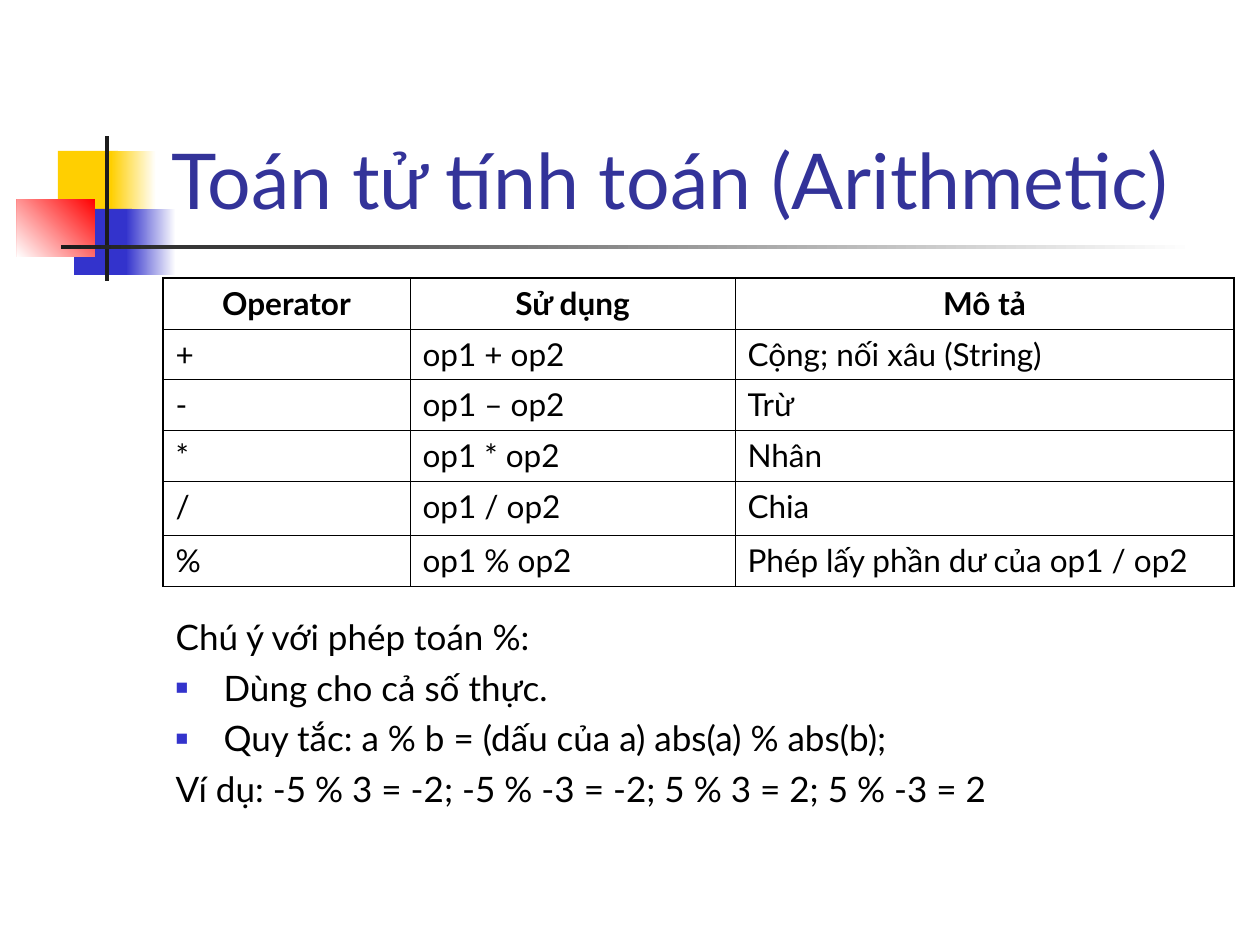
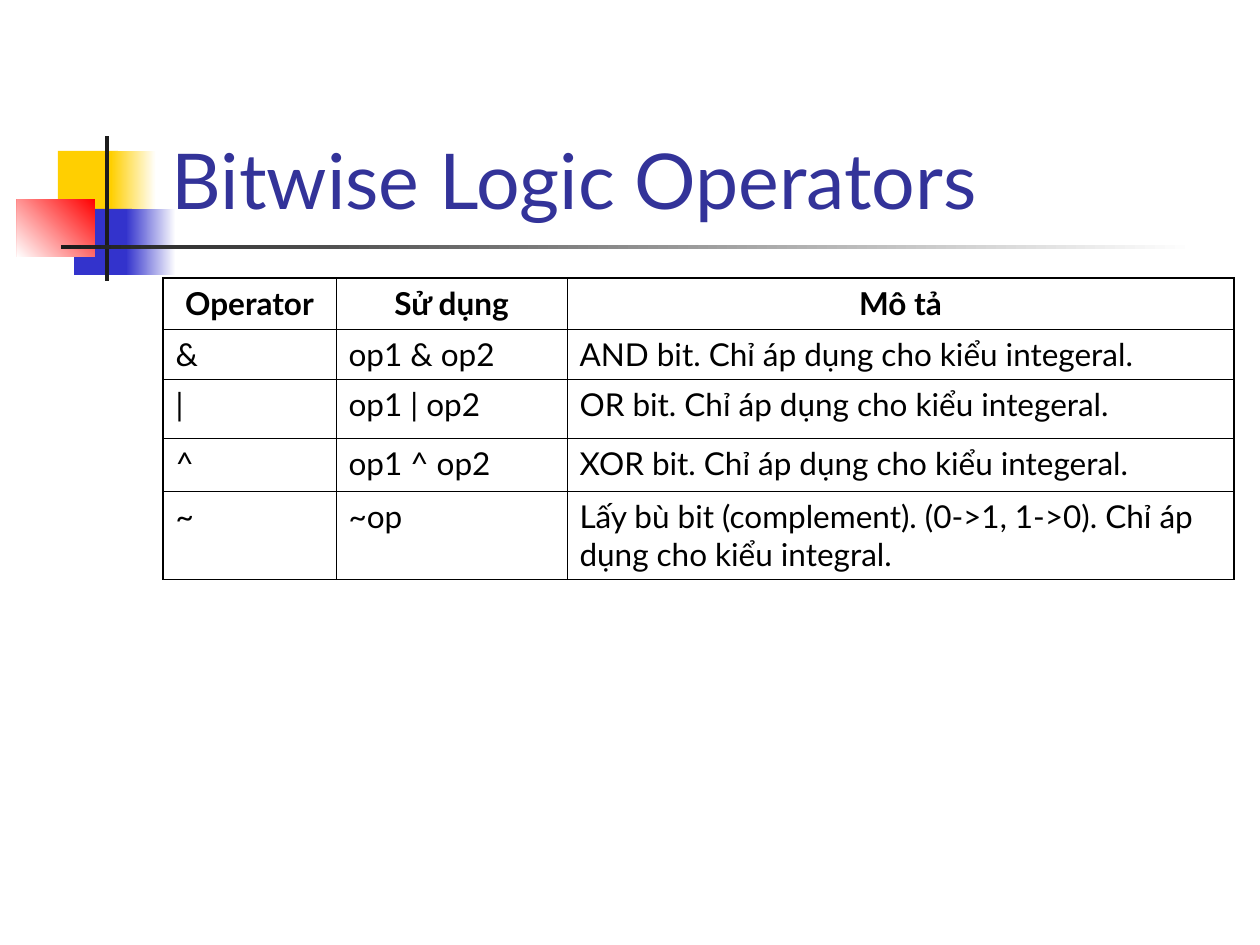
import pptx
import pptx.dml.color
import pptx.enum.shapes
import pptx.enum.text
import pptx.oxml.ns
import pptx.util
from lxml import etree

EMU_PER_PX = 914400 / 126
FONT = "Lato"
COLORS = {
    "title": "333399",
    "text": "000000",
    "border": "000000",
    "yellow": "FFCF01",
    "blue": "3333CC",
    "red": "FF0000",
    "ink": "1C1C1C",
    "white": "FFFFFF",
}
TITLE_FORMAT = {"name": FONT, "size": pptx.util.Pt(44), "bold": False}
BODY_FORMAT = {"name": FONT, "size": pptx.util.Pt(20), "bold": False}
CELL_FORMAT = {"name": FONT, "size": pptx.util.Pt(18), "bold": False}
HEADER_FORMAT = {**CELL_FORMAT, "bold": True}

# Left, top, width, height; gradient start and end, or one colour; angle
EMBLEM = [
    ((58, 151, 60, 66), ("yellow",), 0),
    ((111, 151, 45, 66), ("white", "yellow"), 180),
    ((74, 209, 58, 66), ("blue",), 0),
    ((126, 209, 50, 66), ("white", "blue"), 180),
    ((17, 199, 78, 58), ("red", "white"), 225),
    ((105, 136, 4, 145), ("ink",), 0),
    ((61, 245, 1134, 4), ("white", "ink"), 180),
]
TITLE_BOX = (159, 29, 1074, 202)
NOTES_BOX = (163, 609, 1071, 236)
TABLE_LEFT, TABLE_TOP = 163, 278
OUTER_LINE, INNER_LINE = 1.08, 0.45
HEADER = ("Operator", "Sử dụng", "Mô tả")

ARITHMETIC = [
    HEADER,
    ("+", "op1 + op2", "Cộng; nối xâu (String)"),
    ("-", "op1 – op2", "Trừ"),
    ("*", "op1 * op2", "Nhân"),
    ("/", "op1 / op2", "Chia"),
    ("%", "op1 % op2", "Phép lấy phần dư của op1 / op2"),
]
BITWISE = [
    HEADER,
    ("&", "op1 & op2", "AND bit. Chỉ áp dụng cho kiểu integeral."),
    ("|", "op1 | op2", "OR bit. Chỉ áp dụng cho kiểu integeral."),
    ("^", "op1 ^ op2", "XOR bit. Chỉ áp dụng cho kiểu integeral."),
    ("~", "~op", "Lấy bù bit (complement). (0->1, 1->0). Chỉ áp dụng cho kiểu integral."),
]
# Text, bulleted or not
MODULO_NOTES = [
    ("Chú ý với phép toán %:", False),
    ("Dùng cho cả số thực.", True),
    ("Quy tắc: a % b = (dấu của a) abs(a) % abs(b);", True),
    ("Ví dụ: -5 % 3 = -2; -5 % -3 = -2; 5 % 3 = 2; 5 % -3 = 2", False),
]


def px(length):
    return pptx.util.Emu(round(length * EMU_PER_PX))


def rgb(color):
    return pptx.dml.color.RGBColor.from_string(COLORS[color])


def add_element(parent, tag, **attributes):
    return etree.SubElement(parent, pptx.oxml.ns.qn(tag), attributes)


def place(shape, box):
    for side, length in zip(("left", "top", "width", "height"), box):
        setattr(shape, side, px(length))


def format_text(paragraph, text, font_format, color):
    run = paragraph.add_run()
    run.text = text
    for attribute, value in font_format.items():
        setattr(run.font, attribute, value)
    run.font.color.rgb = rgb(color)


def paint(fill, colors, angle):
    if len(colors) == 1:
        fill.solid()
        fill.fore_color.rgb = rgb(colors[0])
        return
    fill.gradient()
    fill.gradient_angle = angle
    for stop, color in zip(fill.gradient_stops, colors):
        stop.color.rgb = rgb(color)


def add_emblem(master, slide):
    """Draw the emblem on the slide, then hand it over to the master."""
    for number, (box, colors, angle) in enumerate(EMBLEM, start=20):
        block = slide.shapes.add_shape(
            pptx.enum.shapes.MSO_SHAPE.RECTANGLE, *map(px, box))
        block.shadow.inherit = False
        block.line.fill.background()
        paint(block.fill, colors, angle)
        block.element.nvSpPr.cNvPr.set("id", str(number))
        master.shapes.element.append(block.element)


def add_title(slide, text):
    title = slide.shapes.title
    place(title, TITLE_BOX)
    frame = title.text_frame
    frame.auto_size = pptx.enum.text.MSO_AUTO_SIZE.NONE
    frame.vertical_anchor = pptx.enum.text.MSO_ANCHOR.BOTTOM
    frame.paragraphs[0].alignment = pptx.enum.text.PP_ALIGN.LEFT
    format_text(frame.paragraphs[0], text, TITLE_FORMAT, "title")


def set_bullet(paragraph, bulleted):
    properties = paragraph._p.get_or_add_pPr()
    properties.set("marL", str(px(48)))
    properties.set("indent", str(-px(48)))
    if not bulleted:
        add_element(properties, "a:buNone")
        return
    bullet_color = add_element(properties, "a:buClr")
    add_element(bullet_color, "a:srgbClr", val=COLORS["blue"])
    add_element(properties, "a:buSzPct", val="60000")
    add_element(properties, "a:buChar", char="■")


def add_notes(slide, notes):
    body = slide.placeholders[1]
    place(body, NOTES_BOX)
    frame = body.text_frame
    frame.auto_size = pptx.enum.text.MSO_AUTO_SIZE.NONE
    for index, (text, bulleted) in enumerate(notes):
        paragraph = frame.add_paragraph() if index else frame.paragraphs[0]
        set_bullet(paragraph, bulleted)
        paragraph.space_before = pptx.util.Pt(5 if index else 0)
        format_text(paragraph, text, BODY_FORMAT, "text")


def set_borders(cell, outer_sides):
    """Rule all four sides, heavier where the cell meets the table's edge."""
    properties = cell._tc.get_or_add_tcPr()
    for side, is_outer in outer_sides.items():
        width = pptx.util.Pt(OUTER_LINE if is_outer else INNER_LINE)
        line = add_element(properties, f"a:ln{side}", w=str(width))
        line_fill = add_element(line, "a:solidFill")
        add_element(line_fill, "a:srgbClr", val=COLORS["border"])


def add_operator_table(slide, rows, column_widths, row_heights):
    table = slide.shapes.add_table(
        len(rows), len(column_widths), px(TABLE_LEFT), px(TABLE_TOP),
        px(sum(column_widths)), px(sum(row_heights))).table
    table.first_row = table.horz_banding = False
    for column, width in zip(table.columns, column_widths):
        column.width = px(width)
    last_row, last_column = len(rows) - 1, len(column_widths) - 1
    for r, (texts, height) in enumerate(zip(rows, row_heights)):
        table.rows[r].height = px(height)
        for c, text in enumerate(texts):
            cell = table.cell(r, c)
            set_borders(cell, {"L": c == 0, "R": c == last_column,
                               "T": r == 0, "B": r == last_row})
            cell.fill.background()
            paragraph = cell.text_frame.paragraphs[0]
            if r == 0:
                paragraph.alignment = pptx.enum.text.PP_ALIGN.CENTER
            format_text(paragraph, text, CELL_FORMAT if r else HEADER_FORMAT, "text")


def main():
    deck = pptx.Presentation()
    deck.slide_width, deck.slide_height = px(1260), px(945)
    title_and_body, title_only = deck.slide_layouts[1], deck.slide_layouts[5]

    arithmetic = deck.slides.add_slide(title_and_body)
    add_emblem(deck.slide_master, arithmetic)
    add_title(arithmetic, "Toán tử tính toán (Arithmetic)")
    add_operator_table(arithmetic, ARITHMETIC, (247, 325, 499), (51, 50, 51, 51, 54, 51))
    add_notes(arithmetic, MODULO_NOTES)

    bitwise = deck.slides.add_slide(title_only)
    add_title(bitwise, "Bitwise Logic Operators")
    add_operator_table(bitwise, BITWISE, (173, 231, 667), (51, 50, 59, 53, 88))

    deck.save("out.pptx")


if __name__ == "__main__":
    main()
